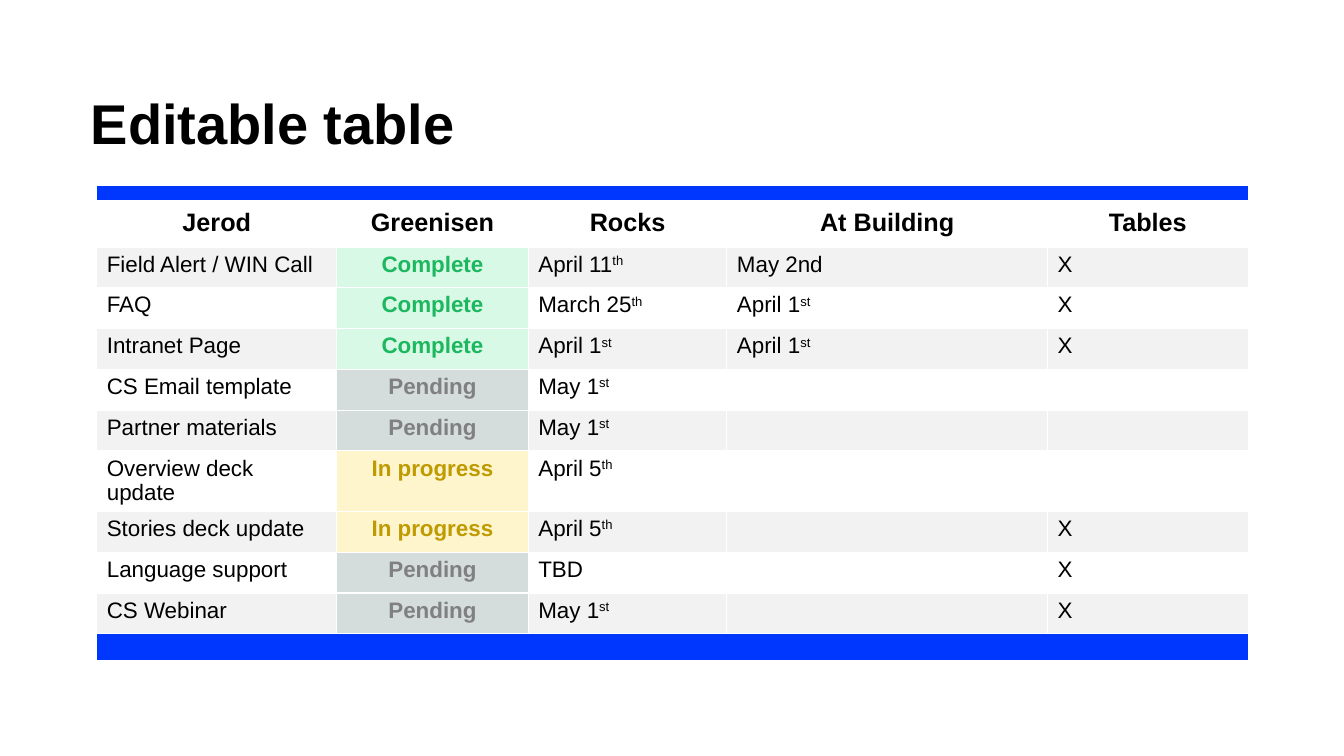
from dataclasses import dataclass

from lxml import etree
from pptx import Presentation
from pptx.dml.color import RGBColor
from pptx.enum.text import MSO_ANCHOR, MSO_AUTO_SIZE, PP_ALIGN
from pptx.oxml.ns import qn
from pptx.table import _Cell
from pptx.util import Inches, Pt

LEFT, CENTER = PP_ALIGN.LEFT, PP_ALIGN.CENTER
TOP, MIDDLE = MSO_ANCHOR.TOP, MSO_ANCHOR.MIDDLE

BLACK = RGBColor(0x00, 0x00, 0x00)
WHITE = RGBColor(0xFF, 0xFF, 0xFF)
BLUE = RGBColor(0x00, 0x37, 0xFF)
STRIPE = RGBColor(0xF2, 0xF2, 0xF2)
FONT = "Arial"
TITLE_ONLY = 5


@dataclass(frozen=True)
class Status:
    label: str
    ink: RGBColor
    fill: RGBColor


@dataclass(frozen=True)
class Task:
    """One table row; a caret in a date marks the raised ordinal ending."""
    name: str
    status: Status
    rocks: str
    building: str = ""
    tables: str = ""


COMPLETE = Status("Complete", RGBColor(0x1D, 0xB7, 0x5F), RGBColor(0xD8, 0xF9, 0xE6))
PENDING = Status("Pending", RGBColor(0x80, 0x80, 0x80), RGBColor(0xD4, 0xDC, 0xDC))
IN_PROGRESS = Status("In progress", RGBColor(0xBF, 0x9A, 0x00), RGBColor(0xFF, 0xF5, 0xCC))

HEADINGS = ["Jerod", "Greenisen", "Rocks", "At Building", "Tables"]
TASKS = [
    Task("Field Alert / WIN Call", COMPLETE, "April 11^th", "May 2nd", "X"),
    Task("FAQ", COMPLETE, "March 25^th", "April 1^st", "X"),
    Task("Intranet Page", COMPLETE, "April 1^st", "April 1^st", "X"),
    Task("CS Email template", PENDING, "May 1^st"),
    Task("Partner materials", PENDING, "May 1^st"),
    Task("Overview deck update", IN_PROGRESS, "April 5^th"),
    Task("Stories deck update", IN_PROGRESS, "April 5^th", "", "X"),
    Task("Language support", PENDING, "TBD", "", "X"),
    Task("CS Webinar", PENDING, "May 1^st", "", "X"),
]
COLUMN_WIDTHS = [2.38, 1.9, 1.97, 3.18, 1.99]
TOP_BAND, HEADING_ROW, TASK_ROW, TWO_LINE_ROW, BOTTOM_BAND = 0.13, 0.47, 0.405, 0.6, 0.26
ROW_HEIGHTS = [
    TOP_BAND, HEADING_ROW,
    *(TWO_LINE_ROW if task.status is IN_PROGRESS and task.name.startswith("Overview")
      else TASK_ROW for task in TASKS),
    BOTTOM_BAND,
]


def set_borders(cell: _Cell, white_sides: str) -> None:
    """Draw white 1 pt lines on the given sides (of L, R, T, B), none elsewhere."""
    properties = cell._tc.get_or_add_tcPr()
    for side in "LRTB":
        line = etree.SubElement(properties, qn(f"a:ln{side}"), w=str(Pt(1)))
        if side in white_sides:
            fill = etree.SubElement(line, qn("a:solidFill"))
            etree.SubElement(fill, qn("a:srgbClr"), val=str(WHITE))
        else:
            etree.SubElement(line, qn("a:noFill"))


def fill_cell(cell: _Cell, color: RGBColor, white_sides: str) -> None:
    set_borders(cell, white_sides)
    cell.fill.solid()
    cell.fill.fore_color.rgb = color


def size_empty_cell(cell: _Cell, points: int) -> None:
    paragraph = cell.text_frame.paragraphs[0]
    etree.SubElement(paragraph._p, qn("a:endParaRPr"), sz=str(points * 100))


def write_cell(cell: _Cell, text: str, size: int, ink: RGBColor = BLACK,
               bold: bool = False, align: PP_ALIGN = LEFT,
               anchor: MSO_ANCHOR = TOP) -> None:
    cell.vertical_anchor = anchor
    if not text:
        size_empty_cell(cell, size)
        return
    paragraph = cell.text_frame.paragraphs[0]
    paragraph.alignment = align
    font = paragraph.font
    font.name, font.size, font.bold = FONT, Pt(size), bold
    font.color.rgb = ink
    base, _, ordinal = text.partition("^")
    paragraph.add_run().text = base
    if ordinal:
        raised = paragraph.add_run()
        raised.text = ordinal
        raised._r.get_or_add_rPr().set("baseline", "30000")


def fill_band(cells: list[_Cell], white_sides: str) -> None:
    for cell in cells:
        cell.margin_top = cell.margin_bottom = 0
        fill_cell(cell, BLUE, white_sides)
        size_empty_cell(cell, 1)


def main() -> None:
    deck = Presentation()
    deck.slide_width, deck.slide_height = Inches(13.33), Inches(7.5)
    slide = deck.slides.add_slide(deck.slide_layouts[TITLE_ONLY])

    title = slide.shapes.title
    title.left, title.top = Inches(0.8), Inches(0.8)
    title.width, title.height = Inches(7.9), Inches(0.82)
    title.text_frame.text = "Editable table"
    title.text_frame.auto_size = MSO_AUTO_SIZE.NONE
    title.text_frame.vertical_anchor = MIDDLE
    heading = title.text_frame.paragraphs[0]
    heading.alignment = LEFT
    heading.font.name, heading.font.size, heading.font.bold = FONT, Pt(40), True
    heading.font.color.rgb = BLACK

    schedule = slide.shapes.add_table(
        len(ROW_HEIGHTS), len(COLUMN_WIDTHS), Inches(0.96), Inches(1.85),
        Inches(sum(COLUMN_WIDTHS)), Inches(sum(ROW_HEIGHTS))).table
    schedule.first_row = schedule.horz_banding = False
    for column, width in zip(schedule.columns, COLUMN_WIDTHS):
        column.width = Inches(width)
    for row, height in zip(schedule.rows, ROW_HEIGHTS):
        row.height = Inches(height)

    top_band, headings, *task_rows, bottom_band = [list(row.cells) for row in schedule.rows]
    fill_band(top_band, "")
    for cell, text in zip(headings, HEADINGS):
        fill_cell(cell, WHITE, "LRB")
        write_cell(cell, text, 18, bold=True, align=CENTER, anchor=MIDDLE)
    for index, (cells, task) in enumerate(zip(task_rows, TASKS)):
        name, status, *details = cells
        for cell, text in zip([name, *details],
                              [task.name, task.rocks, task.building, task.tables]):
            fill_cell(cell, WHITE if index % 2 else STRIPE, "LRTB")
            write_cell(cell, text, 16)
        fill_cell(status, task.status.fill, "LRTB")
        write_cell(status, task.status.label, 16, task.status.ink, bold=True, align=CENTER)
    fill_band(bottom_band, "T")

    deck.save("out.pptx")


if __name__ == "__main__":
    main()
